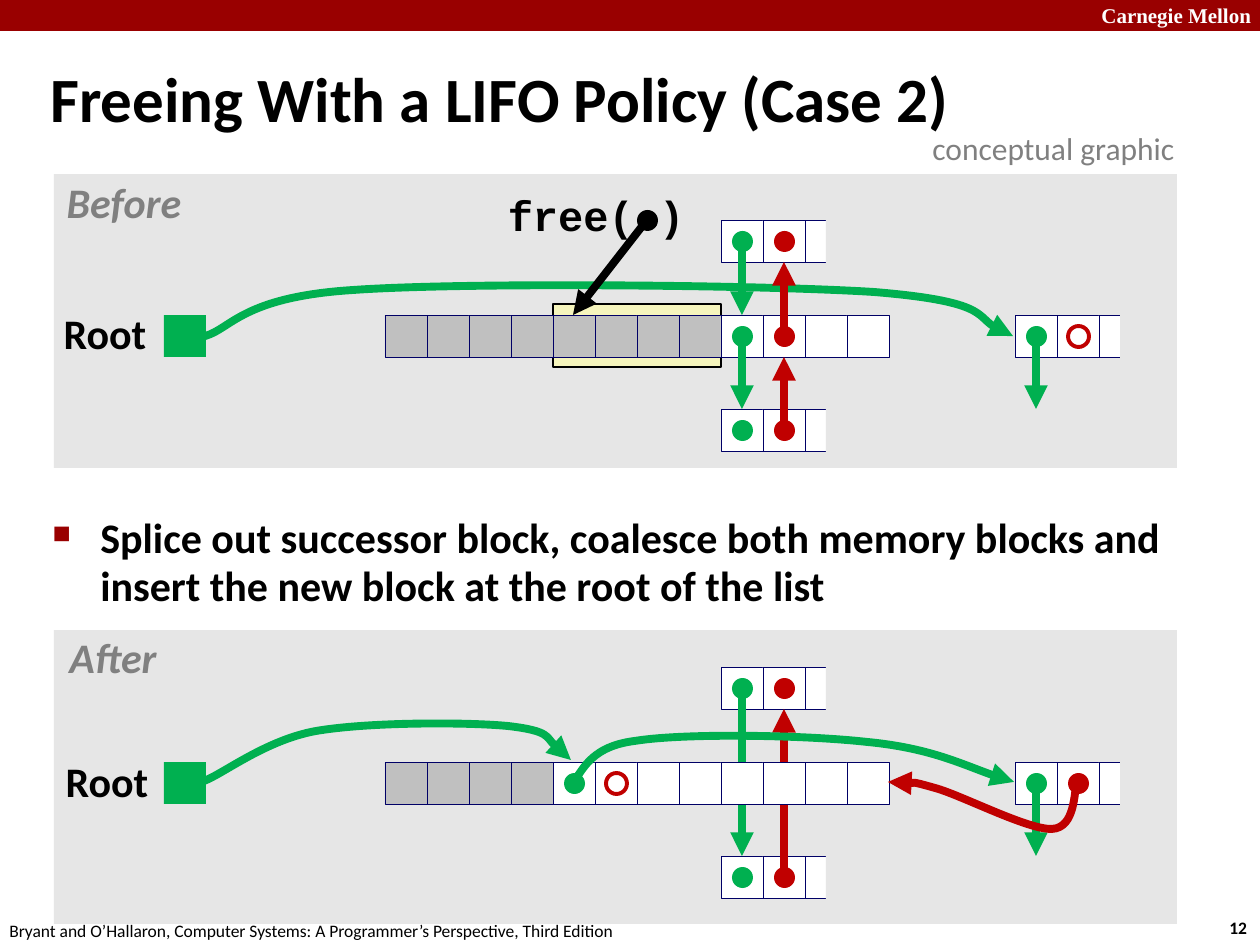
from dataclasses import dataclass, field

from lxml.etree import SubElement
from pptx import Presentation
from pptx.dml.color import RGBColor
from pptx.enum.shapes import MSO_CONNECTOR, MSO_SHAPE
from pptx.enum.text import MSO_ANCHOR, MSO_AUTO_SIZE, PP_ALIGN
from pptx.oxml.ns import qn
from pptx.util import Emu, Pt

EMU_PER_PX = 914400 / 126
CELL, DOT = 42, 21
ROW_LEFT, LIST_LEFT, TAIL_LEFT, ROOT_LEFT = 385, 721, 1015, 164
UPPER, MIDDLE, LOWER = 220, 315, 409
AFTER_SHIFT = 447
GREEN, RED, BLACK, WHITE = "00B050", "C00000", "000000", "FFFFFF"
MAROON, NAVY, GRAY, SILVER, PANEL = "990000", "000066", "808080", "C0C0C0", "E6E6E6"


@dataclass
class Label:
    text: str
    left: int
    top: int
    width: int
    height: int
    size: int
    font: dict = field(default_factory=dict)
    color: str = BLACK
    frame: dict = field(default_factory=dict)
    paragraph: dict = field(default_factory=dict)


@dataclass
class Arrow:
    start: tuple[int, int]
    end: tuple[int, int]
    color: str


@dataclass
class Curve:
    color: str
    points: list[tuple[int, int]]


TIGHT = {"word_wrap": False, "auto_size": MSO_AUTO_SIZE.SHAPE_TO_FIT_TEXT}
INSETS = {f"margin_{side}": Emu(round(6 * EMU_PER_PX)) for side in ("left", "right", "top", "bottom")}
CAPTION = {"frame": TIGHT | INSETS, "paragraph": {"alignment": PP_ALIGN.CENTER, "line_spacing": 0.9}}
BOLD = {"bold": True}
SLANTED = {"bold": True, "italic": True}

LABELS = [
    Label("Carnegie Mellon", 1089, -4, 180, 38, 12, BOLD | {"name": "Times New Roman"}, WHITE, TIGHT),
    Label("12", 1217, 911, 47, 34, 10, BOLD, frame=TIGHT),
    Label("Bryant and O’Hallaron, Computer Systems: A Programmer’s Perspective, Third Edition",
          -3, 914, 640, 34, 10, frame=TIGHT),
    Label("Freeing With a LIFO Policy (Case 2)", 38, 49, 1201, 108, 36, BOLD,
          frame={"word_wrap": True, "vertical_anchor": MSO_ANCHOR.MIDDLE}, paragraph={"line_spacing": 0.87}),
    Label("conceptual graphic", 920, 123, 273, 50, 18, color=GRAY, frame=TIGHT),
    Label("free( )", 501, 189, 190, 59, 24, BOLD | {"name": "Courier New"}, **CAPTION),
    Label("Root", 57, 307, 96, 59, 24, BOLD, **CAPTION),
    Label("Before", 59, 176, 130, 59, 24, SLANTED, GRAY, **CAPTION),
    Label("Root", 59, 755, 96, 59, 24, BOLD, **CAPTION),
    Label("After", 62, 631, 102, 59, 24, SLANTED, GRAY, **CAPTION),
]
SPLICE_NOTE = Label(
    "Splice out successor block, coalesce both memory blocks and insert the new block at the root of the list",
    40, 509, 1145, 108, 24, BOLD, frame={"word_wrap": True}, paragraph={"line_spacing": 0.95})

ROOT_TO_TAIL = Curve(GREEN, [(205, 336), (231, 329), (242, 297), (353, 290), (465, 282), (764, 285),
                             (874, 292), (984, 301), (984, 328), (1013, 336)])
ROOT_TO_NEW = Curve(GREEN, [(204, 781), (223, 774), (266, 740), (316, 731), (368, 722), (466, 722),
                            (508, 726), (551, 731), (558, 752), (571, 760)])
NEW_TO_TAIL = Curve(GREEN, [(572, 782), (582, 776), (586, 747), (635, 741), (684, 733), (804, 735),
                            (867, 742), (930, 748), (984, 774), (1014, 782)])
TAIL_TO_NEW = Curve(RED, [(1077, 782), (1074, 790), (1076, 828), (1052, 829), (1028, 830), (961, 795),
                          (935, 788), (907, 780), (898, 784), (888, 782)])


def px(length: float) -> Emu:
    return Emu(round(length * EMU_PER_PX))


def paint(target, color: str) -> None:
    """Color a fill, or the fill of a line."""
    target.solid()
    target.fore_color.rgb = RGBColor.from_string(color)


def assign(target, values: dict) -> None:
    for name, value in values.items():
        setattr(target, name, value)


def add_box(page, left, top, width, height, fill=None, line=None, weight=0.25, kind=MSO_SHAPE.RECTANGLE):
    box = page.shapes.add_shape(kind, px(left), px(top), px(width), px(height))
    box.shadow.inherit = False
    for target, color in ((box.fill, fill), (box.line.fill, line)):
        if color:
            paint(target, color)
        else:
            target.background()
    if line:
        box.line.width = Pt(weight)


def add_dot(page, x: int, y: int, color: str, hollow: bool = False) -> None:
    colors = {"line": color, "weight": 2.25} if hollow else {"fill": color}
    add_box(page, x - DOT // 2, y - DOT // 2, DOT, DOT, kind=MSO_SHAPE.OVAL, **colors)


def add_cells(page, left: int, top: int, count: int, used: int = 0) -> None:
    for index in range(count):
        add_box(page, left + index * CELL, top, CELL, CELL, SILVER if index < used else WHITE, NAVY)


def add_open_block(page, left: int, top: int) -> None:
    """Three cells, the last one cut off halfway."""
    add_cells(page, left, top, 3)
    add_box(page, left + 105, top - 10, CELL, 63, PANEL)


def style_arrow(shape, color: str) -> None:
    paint(shape.line.fill, color)
    shape.line.width = Pt(4.5)
    SubElement(shape.element.find(".//" + qn("a:ln")), qn("a:tailEnd"), type="triangle")


def add_arrow(page, arrow: Arrow) -> None:
    connector = page.shapes.add_connector(
        MSO_CONNECTOR.STRAIGHT, *(px(value) for value in (*arrow.start, *arrow.end)))
    style_arrow(connector, arrow.color)
    SubElement(connector.element.spPr, qn("a:effectLst"))


def add_curve(page, curve: Curve) -> None:
    builder = page.shapes.build_freeform(*curve.points[0], scale=EMU_PER_PX)
    builder.add_line_segments(curve.points[1:], close=False)
    shape = builder.convert_to_shape()
    shape.shadow.inherit = False
    shape.fill.background()
    style_arrow(shape, curve.color)
    # Turn every three line segments into one Bezier segment
    outline = shape.element.find(".//" + qn("a:path"))
    segments = outline.findall(qn("a:lnTo"))
    for first in range(0, len(segments), 3):
        bezier = SubElement(outline, qn("a:cubicBezTo"))
        for segment in segments[first:first + 3]:
            bezier.append(segment[0])
            outline.remove(segment)


def add_label(page, label: Label, bullet: bool = False) -> None:
    box = page.shapes.add_textbox(px(label.left), px(label.top), px(label.width), px(label.height))
    assign(box.text_frame, label.frame)
    para = box.text_frame.paragraphs[0]
    assign(para, label.paragraph)
    if bullet:
        properties = para._p.get_or_add_pPr()
        assign_indent = {"marL": px(48), "indent": -px(48)}
        for name, value in assign_indent.items():
            properties.set(name, str(value))
        SubElement(SubElement(properties, qn("a:buClr")), qn("a:srgbClr"), val=MAROON)
        SubElement(properties, qn("a:buSzPct"), val="60000")
        SubElement(properties, qn("a:buChar"), char="■")
    span = para.add_run()
    span.text = label.text
    assign(span.font, {"name": "Calibri", "size": Pt(label.size)} | label.font)
    paint(span.font.fill, label.color)


def draw_before(page) -> None:
    next_x, prev_x, tail_x = (left + CELL // 2 for left in (LIST_LEFT, LIST_LEFT + CELL, TAIL_LEFT))
    upper, middle, lower = (top + CELL // 2 for top in (UPPER, MIDDLE, LOWER))
    add_box(page, 54, 174, 1123, 294, PANEL)
    add_box(page, 553, 304, 168, 63, "F6F5BD", BLACK, 0.75)
    add_curve(page, ROOT_TO_TAIL)
    # Blocks
    add_cells(page, ROW_LEFT, MIDDLE, 12, used=8)
    add_box(page, ROOT_LEFT, MIDDLE, CELL, CELL, GREEN)
    for left, top in ((LIST_LEFT, UPPER), (LIST_LEFT, LOWER), (TAIL_LEFT, MIDDLE)):
        add_open_block(page, left, top)
    # Links
    for y in (upper, middle, lower):
        add_dot(page, next_x, y, GREEN)
        add_dot(page, prev_x, y, RED)
    add_dot(page, tail_x, middle, GREEN)
    add_dot(page, tail_x + CELL, middle, RED, hollow=True)
    add_dot(page, 647, 220, BLACK)
    for arrow in (Arrow((next_x, middle), (next_x, LOWER), GREEN),
                  Arrow((next_x, upper), (next_x, MIDDLE), GREEN),
                  Arrow((prev_x, lower), (prev_x, MIDDLE + CELL), RED),
                  Arrow((prev_x, middle), (prev_x, UPPER + CELL), RED),
                  Arrow((tail_x, middle), (tail_x, LOWER), GREEN),
                  Arrow((647, 220), (573, MIDDLE), BLACK)):
        add_arrow(page, arrow)


def draw_after(page) -> None:
    tops = [top + AFTER_SHIFT for top in (UPPER, MIDDLE, LOWER)]
    upper, middle, lower = (top + CELL // 2 for top in tops)
    next_x, prev_x, tail_x = (left + CELL // 2 for left in (LIST_LEFT, LIST_LEFT + CELL, TAIL_LEFT))
    new_x = ROW_LEFT + 4 * CELL + CELL // 2
    add_box(page, 54, 630, 1123, 294, PANEL)
    # Blocks, with the long links passing behind the merged row
    for left, top in ((LIST_LEFT, tops[0]), (LIST_LEFT, tops[2]), (TAIL_LEFT, tops[1])):
        add_open_block(page, left, top)
    add_arrow(page, Arrow((prev_x, lower), (prev_x, tops[0] + CELL), RED))
    add_arrow(page, Arrow((next_x, upper), (next_x, tops[2]), GREEN))
    add_cells(page, ROW_LEFT, tops[1], 12, used=4)
    add_box(page, ROOT_LEFT, tops[1], CELL, CELL, GREEN)
    # Links
    for y in (upper, lower):
        add_dot(page, next_x, y, GREEN)
        add_dot(page, prev_x, y, RED)
    for x, hollow in ((new_x, True), (tail_x, False)):
        add_dot(page, x, middle, GREEN)
        add_dot(page, x + CELL, middle, RED, hollow)
    add_arrow(page, Arrow((tail_x, middle), (tail_x, tops[2]), GREEN))
    for curve in (NEW_TO_TAIL, TAIL_TO_NEW, ROOT_TO_NEW):
        add_curve(page, curve)


def main() -> None:
    deck = Presentation()
    deck.slide_width, deck.slide_height = px(1260), px(945)
    page = deck.slides.add_slide(deck.slide_layouts[6])
    add_box(page, 0, 0, 1260, 31, MAROON)
    draw_before(page)
    draw_after(page)
    for label in LABELS:
        add_label(page, label)
    add_label(page, SPLICE_NOTE, bullet=True)
    deck.save("out.pptx")


if __name__ == "__main__":
    main()
